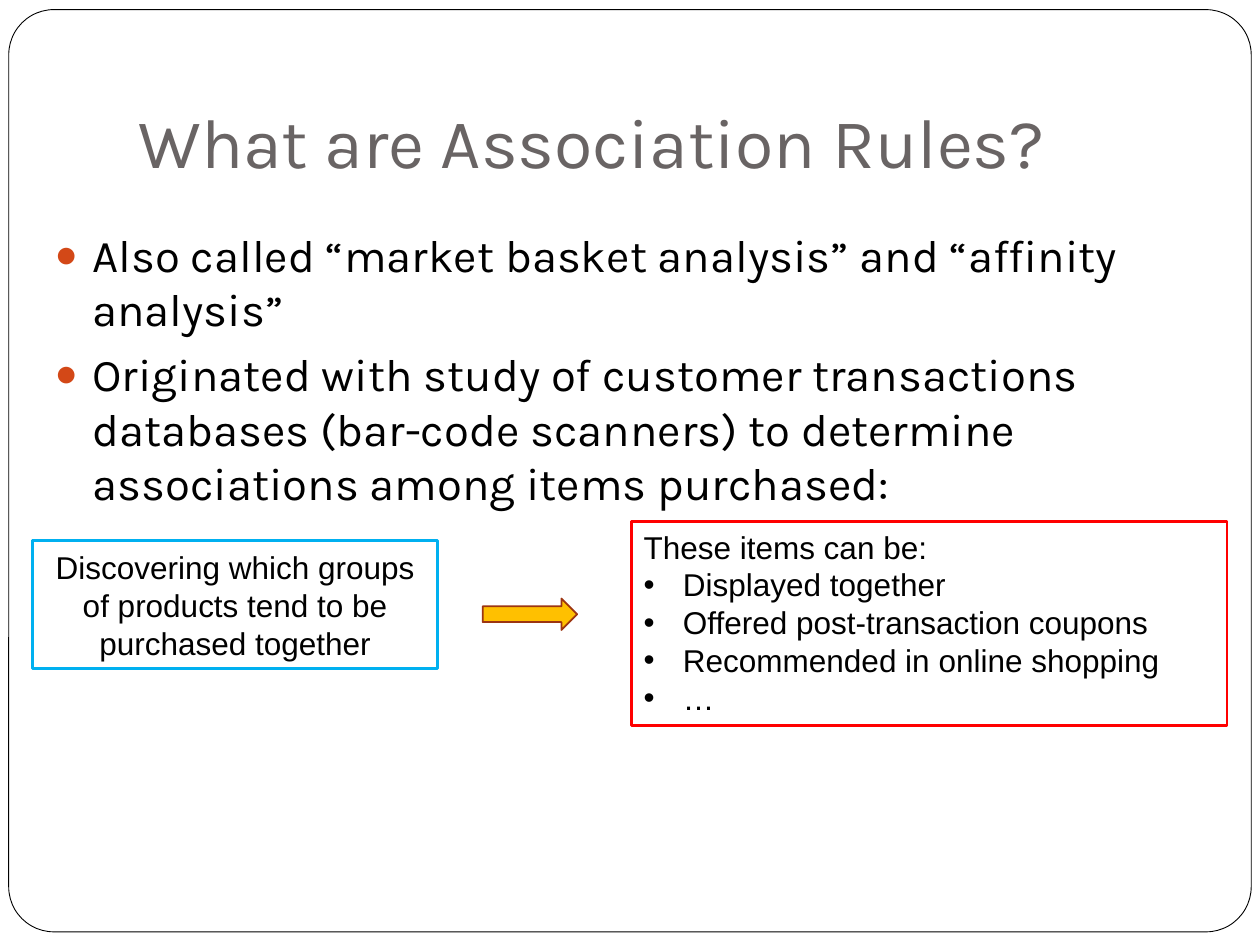
from dataclasses import dataclass
from typing import Optional

from lxml import etree
from pptx import Presentation
from pptx.dml.color import RGBColor
from pptx.enum.shapes import MSO_SHAPE
from pptx.enum.text import MSO_ANCHOR, MSO_AUTO_SIZE, PP_ALIGN
from pptx.oxml.ns import qn
from pptx.util import Pt

LEFT, CENTER = PP_ALIGN.LEFT, PP_ALIGN.CENTER
TOP, MIDDLE, BOTTOM = MSO_ANCHOR.TOP, MSO_ANCHOR.MIDDLE, MSO_ANCHOR.BOTTOM
RECT, ROUNDED = MSO_SHAPE.RECTANGLE, MSO_SHAPE.ROUNDED_RECTANGLE
ARROW = MSO_SHAPE.RIGHT_ARROW
BLACK, WHITE = "000000", "FFFFFF"


@dataclass
class Box:
    left: float
    top: float
    width: float
    height: float


@dataclass
class Bullet:
    char: str
    indent: float
    color: str = BLACK
    percent: int = 100


def rgb(color: str) -> RGBColor:
    return RGBColor.from_string(color)


def place(shape, box: Box) -> None:
    shape.left, shape.top = Pt(box.left), Pt(box.top)
    shape.width, shape.height = Pt(box.width), Pt(box.height)


def draw_shape(slide, kind, box: Box, line: str, weight: float,
               fill: Optional[str] = None):
    shape = slide.shapes.add_shape(kind, 0, 0, 0, 0)
    place(shape, box)
    shape.shadow.inherit = False
    if fill:
        shape.fill.solid()
        shape.fill.fore_color.rgb = rgb(fill)
    else:
        shape.fill.background()
    shape.line.color.rgb = rgb(line)
    shape.line.width = Pt(weight)
    return shape


def set_bullet(paragraph, bullet: Bullet) -> None:
    props = paragraph._p.get_or_add_pPr()
    props.set("marL", str(Pt(bullet.indent)))
    props.set("indent", str(-Pt(bullet.indent)))
    color = etree.SubElement(props, qn("a:buClr"))
    etree.SubElement(color, qn("a:srgbClr"), val=bullet.color)
    etree.SubElement(props, qn("a:buSzPct"), val=str(bullet.percent * 1000))
    etree.SubElement(props, qn("a:buFont"), typeface="Arial")
    etree.SubElement(props, qn("a:buChar"), char=bullet.char)


def write(shape, lines: list[str], *, size: float, font: str = "Arial",
          color: str = BLACK, align=LEFT, anchor=TOP, gap: float = 0,
          bullet: Optional[Bullet] = None, first_bullet: int = 0,
          bottom_inset: float = 3.6) -> None:
    frame = shape.text_frame
    frame.word_wrap = True
    frame.auto_size = MSO_AUTO_SIZE.NONE
    frame.vertical_anchor = anchor
    frame.margin_bottom = Pt(bottom_inset)
    for index, line in enumerate(lines):
        paragraph = frame.add_paragraph() if index else frame.paragraphs[0]
        paragraph.text = line
        if bullet and index >= first_bullet:
            set_bullet(paragraph, bullet)
        paragraph.alignment = align
        paragraph.space_before = Pt(gap if index else 0)
        paragraph.font.size = Pt(size)
        paragraph.font.name = font
        paragraph.font.color.rgb = rgb(color)


def main() -> None:
    deck = Presentation()
    deck.slide_width, deck.slide_height = Pt(720), Pt(540)
    slide = deck.slides.add_slide(deck.slide_layouts[1])
    title, body = slide.placeholders

    # Page frame, sent behind the placeholders
    page_frame = draw_shape(slide, ROUNDED, Box(5, 5.5, 710, 527), BLACK, 0.5, WHITE)
    page_frame.adjustments[0] = 0.049
    slide.shapes._spTree.insert(2, page_frame._element)

    # Title and definition
    place(title, Box(72, 21.6, 612, 90))
    write(title, ["What are Association Rules?"], size=40, font="Karla",
          color="696464", anchor=BOTTOM, bottom_inset=7.2)
    place(body, Box(24, 126, 678, 330))
    write(body, [
        "Also called “market basket analysis” and “affinity analysis”",
        "Originated with study of customer transactions databases "
        "(bar-code scanners) to determine associations among items purchased:",
    ], size=26, font="Karla", gap=5.8, bullet=Bullet("●", 21.6, "D34817", 85))

    # Discovery leads to uses
    discovery = draw_shape(slide, RECT, Box(18.7, 309, 231.3, 73), "00B0F0", 1.5)
    write(discovery,
          ["Discovering which groups of products tend to be purchased together"],
          size=18, align=CENTER, anchor=MIDDLE)
    draw_shape(slide, ARROW, Box(275.8, 342, 54, 18), "9C3511", 1, "FFC000")
    uses = draw_shape(slide, RECT, Box(360.7, 298, 340.5, 116.5), "FF0000", 1.5)
    write(uses, [
        "These items can be:",
        "Displayed together",
        "Offered post-transaction coupons",
        "Recommended in online shopping",
        "…",
    ], size=18, bullet=Bullet("•", 22.5), first_bullet=1)

    deck.save("out.pptx")


if __name__ == "__main__":
    main()
